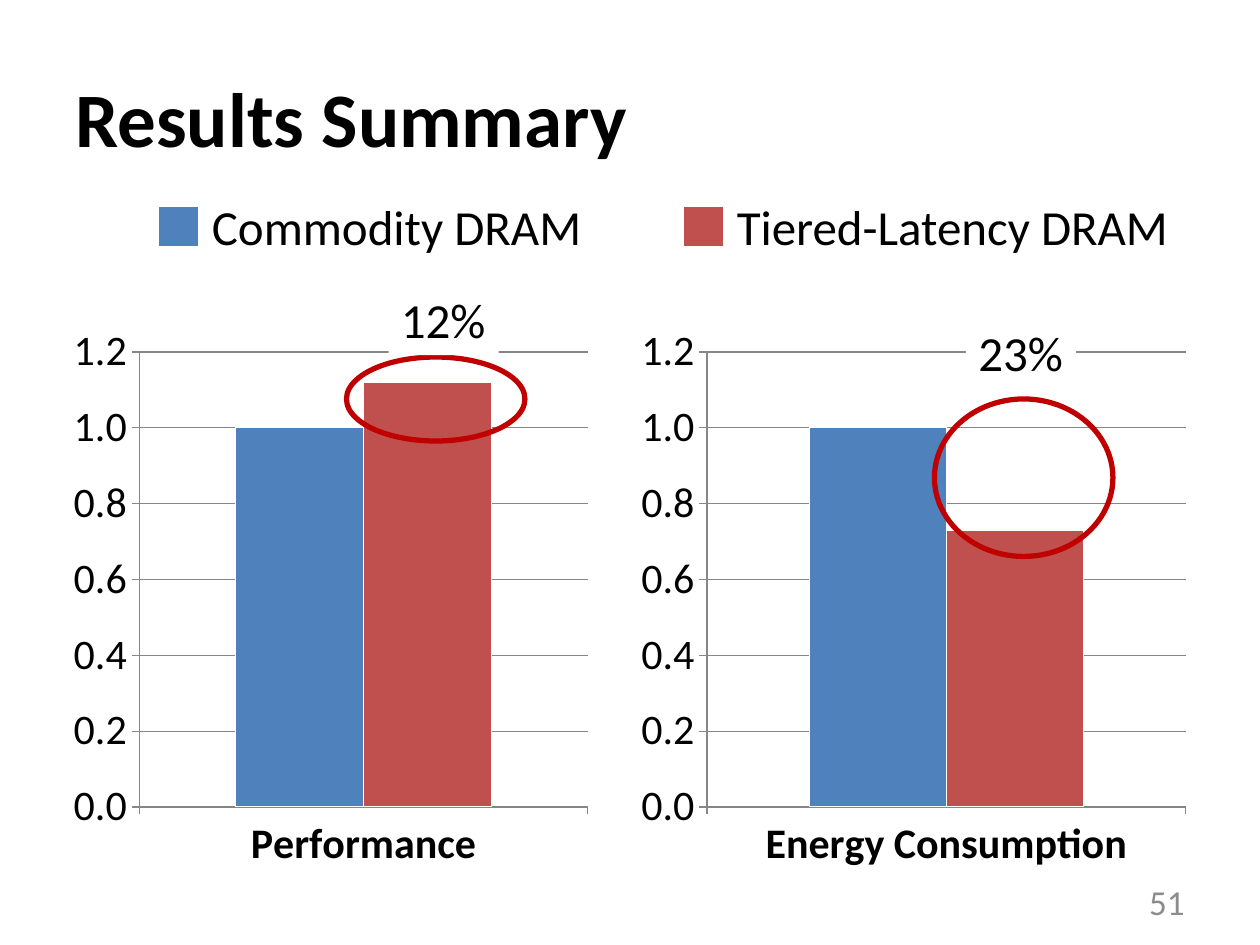
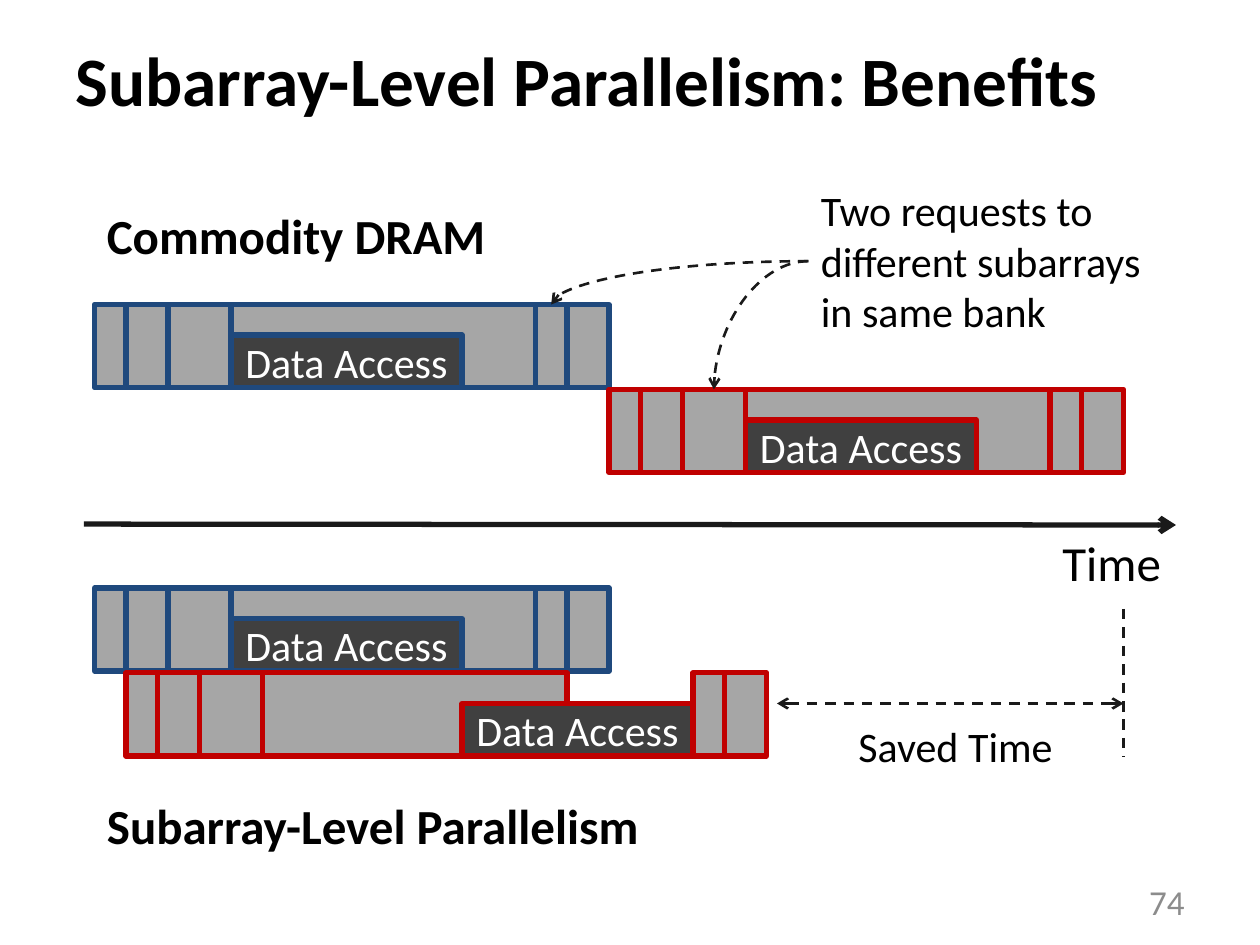
from dataclasses import dataclass

from lxml import etree
from pptx import Presentation
from pptx import util as u
from pptx.chart import data as cd
from pptx.dml.color import RGBColor
from pptx.enum import chart as ce, dml, shapes, text
from pptx.oxml.ns import qn

Pt = u.Pt
RECT, OVAL = shapes.MSO_SHAPE.RECTANGLE, shapes.MSO_SHAPE.OVAL
STRAIGHT, CURVE = shapes.MSO_CONNECTOR.STRAIGHT, shapes.MSO_CONNECTOR.CURVE
LEFT, CENTER, RIGHT = text.PP_ALIGN.LEFT, text.PP_ALIGN.CENTER, text.PP_ALIGN.RIGHT
TOP, MIDDLE = text.MSO_ANCHOR.TOP, text.MSO_ANCHOR.MIDDLE


@dataclass(frozen=True)
class Theme:
    font: str = "Calibri"
    ink: str = "000000"
    paper: str = "FFFFFF"
    muted: str = "8C8C8C"
    grid: str = "868686"
    stroke: str = "1A1A1A"
    commodity: str = "4F81BD"
    tiered: str = "C0504D"
    first: str = "1F497D"
    second: str = "C00000"
    phase: str = "A6A6A6"
    access: str = "404040"
    title: float = 44
    title_small: float = 39.6
    label: float = 28
    body: float = 24
    number: float = 20
    chart: float = 10
    heavy: float = 3
    thin: float = 1.5


T = Theme()


def rgb(value):
    return RGBColor.from_string(value)


def set_font(font, size, color=T.ink, bold=False):
    font.name, font.size, font.bold = T.font, Pt(size), bold
    font.color.rgb = rgb(color)


def write(sp, words, size=T.label, color=T.ink, bold=False, align=LEFT,
          anchor=TOP, wrap=False, grow=True):
    tf = sp.text_frame
    tf.word_wrap, tf.vertical_anchor = wrap, anchor
    tf.auto_size = text.MSO_AUTO_SIZE.SHAPE_TO_FIT_TEXT if grow else text.MSO_AUTO_SIZE.NONE
    p = tf.paragraphs[0]
    p.alignment = align
    r = p.add_run()
    r.text = words
    set_font(r.font, size, color, bold)


def add_text(s, box, words, **fmt):
    write(s.shapes.add_textbox(*map(Pt, box)), words, **fmt)


def add_shape(s, box, kind=RECT, fill=None, line=None, width=T.heavy):
    sp = s.shapes.add_shape(kind, *map(Pt, box))
    sp.shadow.inherit = False
    if fill:
        sp.fill.solid()
        sp.fill.fore_color.rgb = rgb(fill)
    else:
        sp.fill.background()
    if line:
        sp.line.color.rgb = rgb(line)
        sp.line.width = Pt(width)
    else:
        sp.line.fill.background()
    return sp


def add_line(s, start, end, kind=STRAIGHT, width=T.thin, dash=True, arrows=("tailEnd",)):
    c = s.shapes.add_connector(kind, *map(Pt, (*start, *end)))
    c.line.color.rgb = rgb(T.stroke)
    c.line.width = Pt(width)
    if dash:
        c.line.dash_style = dml.MSO_LINE.DASH
    sp_pr = c._element.spPr
    for name in arrows:
        etree.SubElement(sp_pr.find(qn("a:ln")), qn("a:" + name), type="arrow")
    etree.SubElement(sp_pr, qn("a:effectLst"))
    if kind == CURVE:
        sp_pr.find(qn("a:prstGeom")).set("prst", "curvedConnector2")


def new_slide(prs, title, number, title_box, title_size):
    s = prs.slides.add_slide(prs.slide_layouts[6])
    add_text(s, title_box, title, size=title_size, bold=True, anchor=MIDDLE,
             wrap=True, grow=False)
    add_text(s, (516, 500.5, 168, 28.75), number, size=T.number, color=T.muted,
             align=RIGHT, anchor=MIDDLE, wrap=True, grow=False)
    return s


def style_axis(axis, bold=False):
    set_font(axis.tick_labels.font, T.body, bold=bold)
    axis.major_tick_mark = ce.XL_TICK_MARK.OUTSIDE
    axis.format.line.color.rgb = rgb(T.grid)


def bar_chart(s, box, measure, tiered_value):
    data = cd.CategoryChartData()
    data.categories = [measure]
    data.add_series("Series 1", [1])
    data.add_series("Series 2", [tiered_value])
    chart = s.shapes.add_chart(ce.XL_CHART_TYPE.COLUMN_CLUSTERED, *map(Pt, box), data).chart
    set_font(chart.font, T.chart)
    chart.has_legend = chart.has_title = False

    plot = chart.plots[0]
    plot.gap_width, plot.overlap, plot.vary_by_categories = 150, 0, False
    for series, color in zip(plot.series, (T.commodity, T.tiered)):
        series.format.fill.solid()
        series.format.fill.fore_color.rgb = rgb(color)
        series.format.line.color.rgb = rgb(T.paper)

    style_axis(chart.category_axis, bold=True)
    axis = chart.value_axis
    style_axis(axis)
    axis.minimum_scale, axis.maximum_scale, axis.major_unit = 0, 1.2, 0.2
    axis.tick_labels.number_format = "0.0"
    axis.tick_labels.number_format_is_linked = False
    axis.has_major_gridlines = True
    axis.major_gridlines.format.line.color.rgb = rgb(T.grid)


def change_mark(s, box, change, label_at):
    """Ring the difference between two bars and name it."""
    add_shape(s, box, OVAL, line=T.second)
    x, y = label_at
    write(add_shape(s, (x, y, 63, 41), fill=T.paper), change)


def legend_entry(s, box, name, color):
    x, y, w, h = box
    add_shape(s, (x, y + 8.5, 24, 24), fill=color, line=T.paper, width=2)
    add_text(s, (x + 24, y, w - 24, h), name)


def results_slide(prs):
    s = new_slide(prs, "Results Summary", "51", (36, 21.6, 648, 90), T.title)
    bar_chart(s, (36, 180, 306, 324), "Performance", 1.12)
    bar_chart(s, (360, 180, 324, 324), "Energy Consumption", 0.73)
    change_mark(s, (198, 204, 102, 48), "12%", (222, 162))
    change_mark(s, (534, 228, 102, 90), "23%", (552, 181))
    legend_entry(s, (90, 109, 252, 41), "Commodity DRAM", T.commodity)
    legend_entry(s, (390, 109, 287.5, 41), "Tiered-Latency DRAM", T.tiered)


def request_bar(s, at, color, wait=0):
    """Draw one request's phases; wait delays its data access and what follows."""
    left, top = at
    height, access_h, access_w = 47.5, 30, 132
    x = left
    for i, width in enumerate((18, 24, 36, 174, 18, 24)):
        if i == 3:
            access_x = x + wait
        if i == 4 and wait:
            x = access_x + access_w
        add_shape(s, (x, top, width, height), fill=T.phase, line=color)
        x += width
    sp = add_shape(s, (access_x, top + height - access_h, access_w, access_h),
                   fill=T.access, line=color)
    write(sp, "Data Access", size=T.body, color=T.paper, align=CENTER,
          anchor=MIDDLE, grow=False)


def time_axis(s, box):
    x, y, w, h = box
    add_line(s, (x, y), (x + w, y + 0.5), width=T.heavy, dash=False)
    add_text(s, (x + w - 72, y + 1.5, 71, h), "Time")


def saved_time(s, box):
    x, y, w, h = box
    add_line(s, (x + w, y), (x + w, y + h), arrows=())
    add_line(s, (x, y + 54), (x + w, y + 54), arrows=("headEnd", "tailEnd"))
    add_text(s, (x + 30, y + 60, 144, 36), "Saved Time", size=T.body,
             align=CENTER, wrap=True)


def requests_note(s, box, targets):
    x, y, w, h = box
    add_text(s, box, "Two requests to different subarrays in same bank",
             size=T.body, wrap=True)
    for target in targets:
        add_line(s, (x, y + h / 2), target, CURVE)


def benefits_slide(prs):
    s = new_slide(prs, "Subarray-Level Parallelism: Benefits", "74",
                  (36, 0, 636, 90), T.title_small)
    time_axis(s, (48, 299.5, 624, 41))
    left, bar_length, row_step = 54, 294, 48.5
    serial_y, parallel_y = 174, 336
    request_bar(s, (left, serial_y), T.first)
    request_bar(s, (left + bar_length, serial_y + row_step), T.second)
    request_bar(s, (left, parallel_y), T.first)
    request_bar(s, (left + 18, parallel_y + row_step), T.second, wait=114)
    saved_time(s, (444, 348, 198, 84.5))
    add_text(s, (left, 114, 233, 41), "Commodity DRAM", bold=True)
    add_text(s, (left, 451, 322.5, 41), "Subarray-Level Parallelism", bold=True)
    requests_note(s, (462, 102, 210, 94.5),
                  [(315, serial_y), (408, serial_y + row_step)])


def main():
    prs = Presentation()
    prs.slide_width, prs.slide_height = Pt(720), Pt(540)
    results_slide(prs)
    benefits_slide(prs)
    prs.save("out.pptx")


if __name__ == "__main__":
    main()
